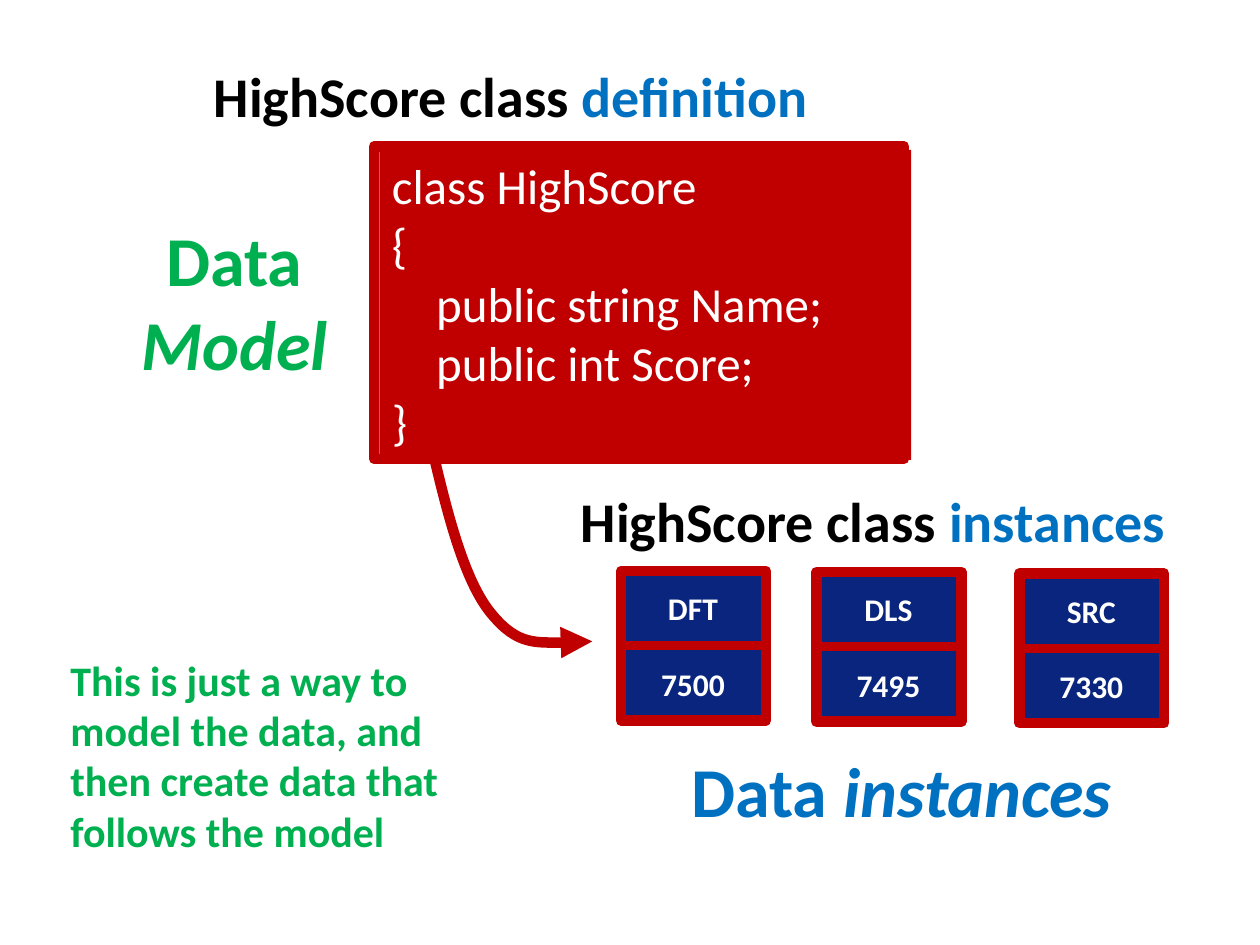
from lxml import etree
from pptx import Presentation
from pptx.dml.color import RGBColor
from pptx.enum.shapes import MSO_SHAPE
from pptx.enum.text import MSO_ANCHOR, MSO_AUTO_SIZE, PP_ALIGN
from pptx.oxml.ns import qn
from pptx.util import Cm, Pt

RECTANGLE = MSO_SHAPE.RECTANGLE
MIDDLE, TOP = MSO_ANCHOR.MIDDLE, MSO_ANCHOR.TOP
LEFT, CENTER = PP_ALIGN.LEFT, PP_ALIGN.CENTER
FIT_SHAPE = MSO_AUTO_SIZE.SHAPE_TO_FIT_TEXT

FONT = "Calibri"
COLORS = {
    "black": "000000",
    "white": "FFFFFF",
    "red": "C00000",
    "navy": "09257D",
    "blue": "0070C0",
    "green": "00B050",
}
INSTANCES = [
    ("DLS", "7495", 16.46, 11.53),
    ("SRC", "7330", 20.55, 11.56),
    ("DFT", "7500", 12.52, 11.51),
]
CODE = [
    "class HighScore",
    "{",
    "    public string Name;",
    "    public int Score;",
    "}",
]


def color(name):
    return RGBColor.from_string(COLORS[name])


def style_font(font, size, color_name, bold=True):
    font.name = FONT
    font.size = Pt(size)
    font.bold = bold
    font.color.rgb = color(color_name)


def add_rectangle(shapes, box, fill=None, line_width=None):
    shape = shapes.add_shape(RECTANGLE, *map(Cm, box))
    shape.shadow.inherit = False
    if fill:
        shape.fill.solid()
        shape.fill.fore_color.rgb = color(fill)
    else:
        shape.fill.background()
    if line_width:
        shape.line.width = Pt(line_width)
        shape.line.color.rgb = color("red")
    else:
        shape.line.fill.background()
    return shape


def add_label(slide, box, runs, size, color_name, wrap=False, align=LEFT):
    """Add one bold paragraph; each run is (text, own colour or None, italic)."""
    shape = slide.shapes.add_textbox(*map(Cm, box))
    frame = shape.text_frame
    frame.word_wrap = wrap
    frame.auto_size = FIT_SHAPE
    paragraph = frame.paragraphs[0]
    paragraph.alignment = align
    style_font(paragraph.font, size, color_name)
    for text, run_color, italic in runs:
        run = paragraph.add_run()
        run.text = text
        style_font(run.font, size, run_color or color_name)
        if italic:
            run.font.italic = True


def add_instance(slide, left, top, name, score):
    """Group a name cell and a score cell inside a heavy red frame."""
    shapes = slide.shapes.add_group_shape().shapes
    for row, text in enumerate((name, score)):
        cell = add_rectangle(shapes, (left, top + row * 1.52, 2.9, 1.5), "navy", 4.5)
        frame = cell.text_frame
        frame.vertical_anchor = MIDDLE
        paragraph = frame.paragraphs[0]
        paragraph.text = text
        paragraph.alignment = CENTER
        style_font(paragraph.font, 18, "white")
    add_rectangle(shapes, (left, top, 2.92, 3.02), line_width=6)


def add_curved_arrow(slide, left, top):
    """Draw two joined Bézier curves ending in an arrowhead."""
    points = [(0.3, 1.27), (0.64, 2.54), (1.17, 3.15),
              (1.68, 3.76), (2.44, 3.73), (3.18, 3.68)]
    builder = slide.shapes.build_freeform(Cm(left), Cm(top))
    builder.add_line_segments(
        [(Cm(left + x), Cm(top + y)) for x, y in points], close=False)
    arrow = builder.convert_to_shape()
    arrow.shadow.inherit = False
    arrow.fill.background()
    arrow.line.width = Pt(6)
    arrow.line.color.rgb = color("red")
    etree.SubElement(arrow.line._get_or_add_ln(), qn("a:tailEnd"), type="triangle")

    # Every three straight segments become one cubic curve.
    segments = list(arrow._element.iter(qn("a:lnTo")))
    for start in range(0, len(segments), 3):
        curve = etree.Element(qn("a:cubicBezTo"))
        segments[start].addprevious(curve)
        for segment in segments[start:start + 3]:
            curve.append(segment[0])
            segment.getparent().remove(segment)


def add_class_code(slide, left, top):
    shape = add_rectangle(slide.shapes, (left, top, 10.72, 6.25), "red")
    frame = shape.text_frame
    frame.word_wrap = True
    frame.auto_size = FIT_SHAPE
    frame.vertical_anchor = TOP
    for index, line in enumerate(CODE):
        paragraph = frame.add_paragraph() if index else frame.paragraphs[0]
        paragraph.text = line
        paragraph.alignment = LEFT
        style_font(paragraph.font, 28, "white", bold=False)


def build_slide(slide):
    for name, score, left, top in INSTANCES:
        add_instance(slide, left, top, name, score)
    add_rectangle(slide.shapes, (7.54, 2.95, 10.69, 6.3), line_width=6)
    add_curved_arrow(slide, 8.76, 9.25)

    for word, box in (("definition", (4.06, 1.12, 12.6, 1.63)),
                      ("instances", (11.46, 9.68, 12.4, 1.63))):
        runs = [("HighScore class ", None, False), (word, "blue", False)]
        add_label(slide, box, runs, 32, "black")

    add_label(slide, (1.17, 13.06, 7.95, 4.37),
              [("This is just a way to model the data, and then create data "
                "that follows the model", None, False)], 24, "green", wrap=True)
    add_label(slide, (2.44, 4.24, 4.57, 3.68),
              [("Data ", None, False), ("Model", None, True)],
              40, "green", wrap=True, align=CENTER)
    add_label(slide, (13.69, 14.94, 9.12, 1.96),
              [("Data ", None, False), ("instances", None, True)], 40, "blue")
    add_class_code(slide, 7.65, 3.02)


def main():
    presentation = Presentation()
    presentation.slide_width = Cm(25.4)
    presentation.slide_height = Cm(19.05)
    build_slide(presentation.slides.add_slide(presentation.slide_layouts[6]))
    presentation.save("out.pptx")


if __name__ == "__main__":
    main()
